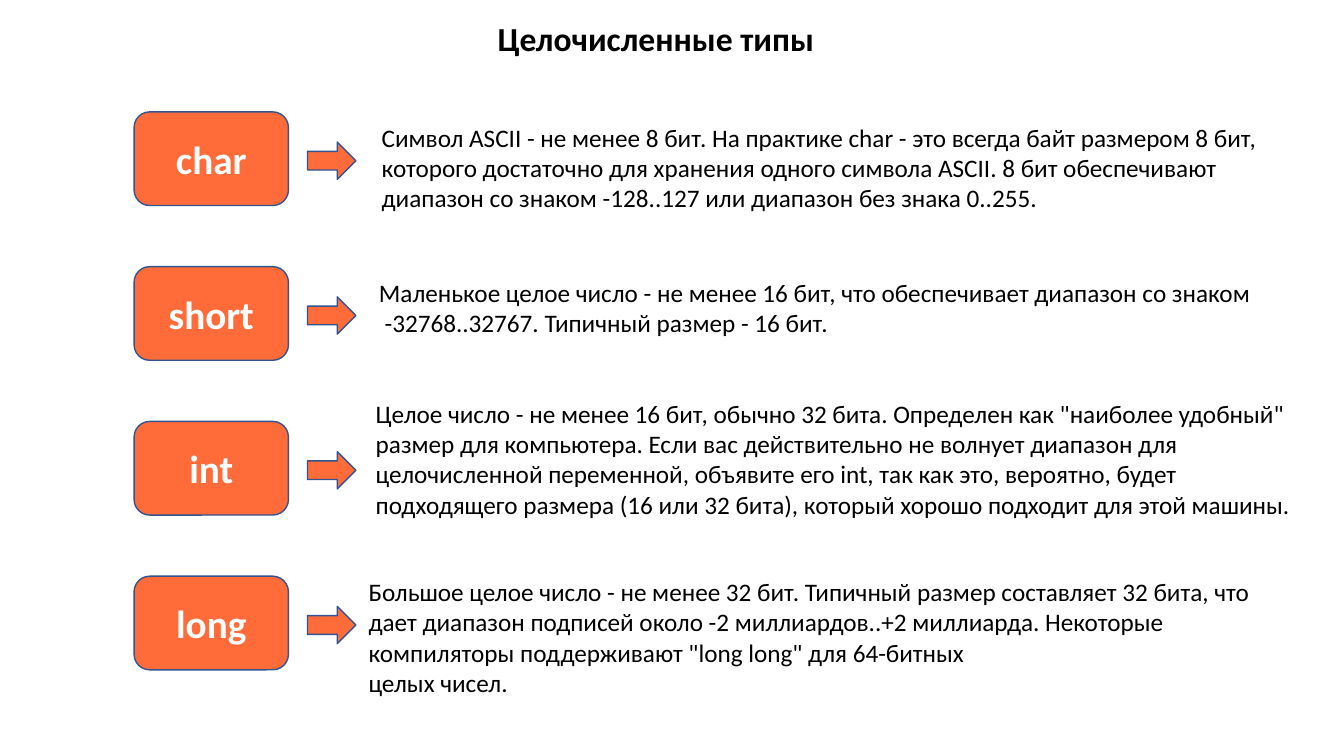
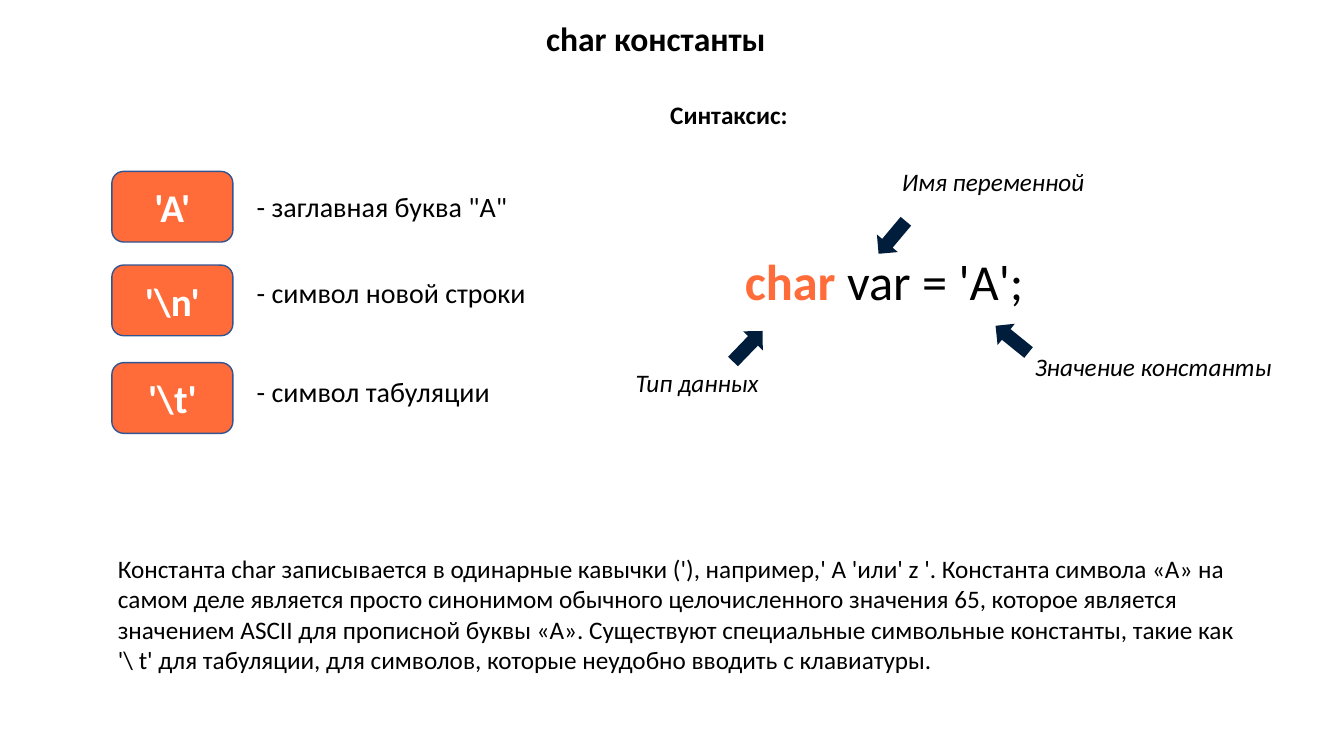
"""Build two slides on integer types and char constants."""
from pptx import Presentation
from pptx.dml.color import RGBColor
from pptx.enum.shapes import MSO_SHAPE
from pptx.enum.text import MSO_ANCHOR, PP_ALIGN
from pptx.util import Cm, Pt

ORANGE = RGBColor(0xFF, 0x6C, 0x3A)
OUTLINE = RGBColor(0x32, 0x54, 0x91)
NAVY = RGBColor(0x00, 0x1D, 0x3C)
BLACK = RGBColor(0, 0, 0)
WHITE = RGBColor(0xFF, 0xFF, 0xFF)
FONT = "Calibri"


def add_text(slide, box, text, size=18, bold=False, italic=False, align=PP_ALIGN.LEFT):
    frame = slide.shapes.add_textbox(*map(Cm, box)).text_frame
    frame.word_wrap = True
    frame.text = text
    for paragraph in frame.paragraphs:
        paragraph.alignment = align
        font = paragraph.font
        font.name, font.size, font.bold, font.italic = FONT, Pt(size), bold, italic
        font.color.rgb = BLACK
    return frame


def add_block(slide, kind, box, label="", fill=ORANGE, outline=OUTLINE, rotation=0):
    block = slide.shapes.add_shape(kind, *map(Cm, box))
    block.shadow.inherit = False
    block.rotation = rotation
    block.fill.solid()
    block.fill.fore_color.rgb = fill
    if outline:
        block.line.color.rgb = outline
        block.line.width = Pt(1)
    else:
        block.line.fill.background()
    if label:
        frame = block.text_frame
        frame.text = label
        frame.vertical_anchor = MSO_ANCHOR.MIDDLE
        paragraph = frame.paragraphs[0]
        paragraph.alignment = PP_ALIGN.CENTER
        font = paragraph.font
        font.name, font.size, font.bold = FONT, Pt(28), True
        font.color.rgb = WHITE


prs = Presentation()
prs.slide_width, prs.slide_height = Cm(33.87), Cm(19.05)
slides = []
for title in ("Целочисленные типы", "char константы"):
    slide = prs.slides.add_slide(prs.slide_layouts[6])
    add_text(slide, (4.95, 0.33, 23.16, 1.27), title, 24, bold=True, align=PP_ALIGN.CENTER)
    slides.append(slide)
types_slide, constants_slide = slides

integer_types = [
    ("char", (9.37, 2.95, 23.37, 2.57),
     "Символ ASCII - не менее 8 бит. На практике char - это всегда байт размером 8 бит, "
     "которого достаточно для хранения одного символа ASCII. 8 бит обеспечивают "
     "диапазон со знаком -128..127 или диапазон без знака 0..255."),
    ("short", (9.3, 6.86, 23.37, 1.8),
     "Маленькое целое число - не менее 16 бит, что обеспечивает диапазон со знаком\n"
     " -32768..32767. Типичный размер - 16 бит."),
    ("int", (9.22, 9.91, 23.72, 3.33),
     "Целое число - не менее 16 бит, обычно 32 бита. Определен как \"наиболее удобный\" "
     "размер для компьютера. Если вас действительно не волнует диапазон для "
     "целочисленной переменной, объявите его int, так как это, вероятно, будет "
     "подходящего размера (16 или 32 бита), который хорошо подходит для этой машины."),
    ("long", (9.04, 14.4, 23.47, 3.33),
     "Большое целое число - не менее 32 бит. Типичный размер составляет 32 бита, что "
     "дает диапазон подписей около -2 миллиардов..+2 миллиарда. Некоторые "
     "компиляторы поддерживают \"long long\" для 64-битных\nцелых чисел."),
]
for row, (name, box, description) in enumerate(integer_types):
    top = 2.82 + 3.9 * row
    add_block(types_slide, MSO_SHAPE.ROUNDED_RECTANGLE, (3.38, top, 3.89, 2.36), name)
    add_block(types_slide, MSO_SHAPE.RIGHT_ARROW, (7.75, top + 0.76, 1.22, 0.94))
    add_text(types_slide, box, description)

constants = [
    (r"'A'", 4.32, 4.65, "- заглавная буква \"A\""),
    (r"'\n'", 6.68, 6.83, "- символ новой строки"),
    (r"'\t'", 9.14, 9.3, "- символ табуляции"),
]
for constant, top, meaning_top, meaning in constants:
    add_block(constants_slide, MSO_SHAPE.ROUNDED_RECTANGLE, (2.82, top, 3.05, 1.78), constant)
    add_text(constants_slide, (6.22, meaning_top, 7.62, 1.12), meaning, 20)

add_text(constants_slide, (16.64, 2.39, 15.7, 1.02), "Синтаксис:", bold=True)
declaration = add_text(constants_slide, (18.52, 6.17, 7.62, 1.8), "", 36).paragraphs[0]
keyword = declaration.add_run()
keyword.text = "char "
keyword.font.bold = True
keyword.font.color.rgb = ORANGE
declaration.add_run().text = "var = 'A';"

callouts = [
    ("Тип данных", 15.77, 9.12, 18.31, 8.38, 314),
    ("Имя переменной", 22.48, 4.06, 21.95, 5.64, 130),
    ("Значение константы", 25.83, 8.74, 24.97, 8.2, 219),
]
for caption, left, top, arrow_left, arrow_top, rotation in callouts:
    add_text(constants_slide, (left, top, 7.62, 1.02), caption, italic=True)
    add_block(constants_slide, MSO_SHAPE.RIGHT_ARROW, (arrow_left, arrow_top, 1.07, 0.69),
              fill=NAVY, outline=None, rotation=rotation)

add_text(
    constants_slide, (2.72, 13.82, 29.34, 4.11),
    "Константа char записывается в одинарные кавычки ('), например,' A 'или' z '. "
    "Константа символа «A» на самом деле является просто синонимом обычного "
    "целочисленного значения 65, которое является значением ASCII для прописной "
    "буквы «A». Существуют специальные символьные константы, такие как\n"
    "'\\ t' для табуляции, для символов, которые неудобно вводить с клавиатуры.")

prs.save("out.pptx")
